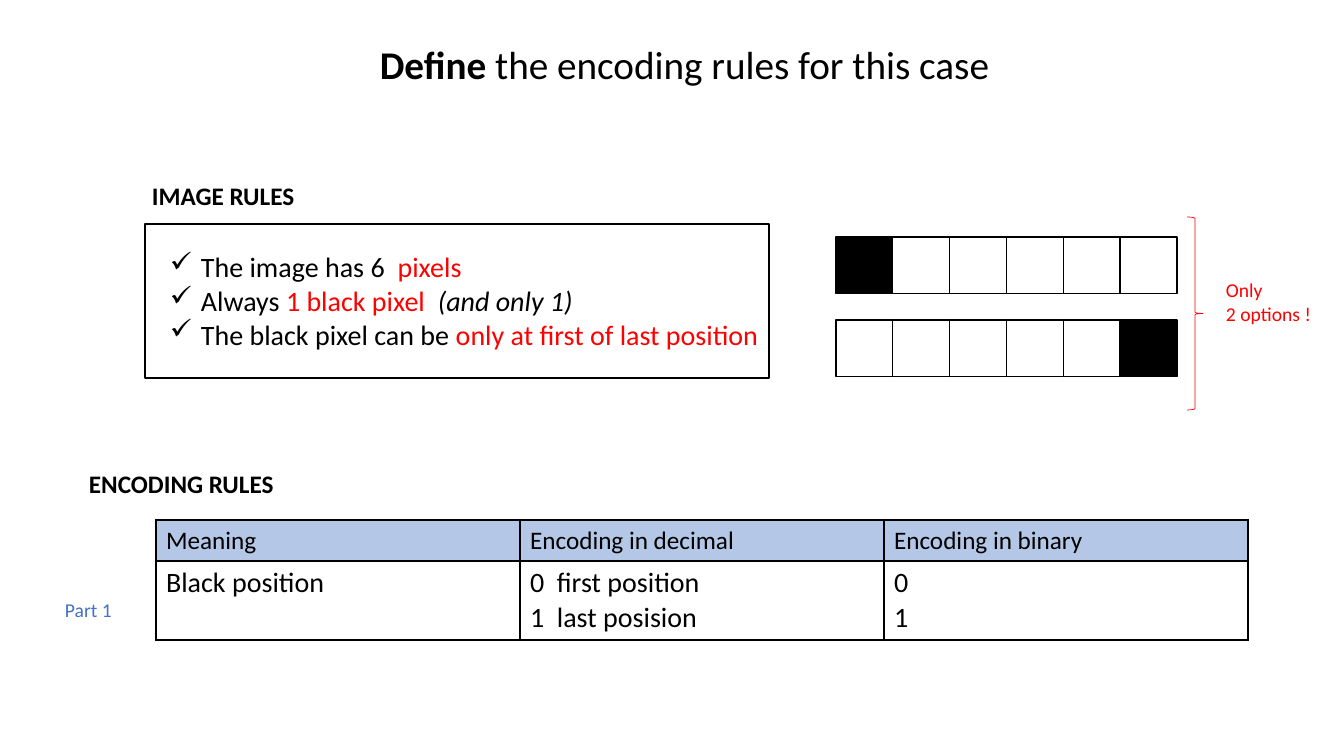
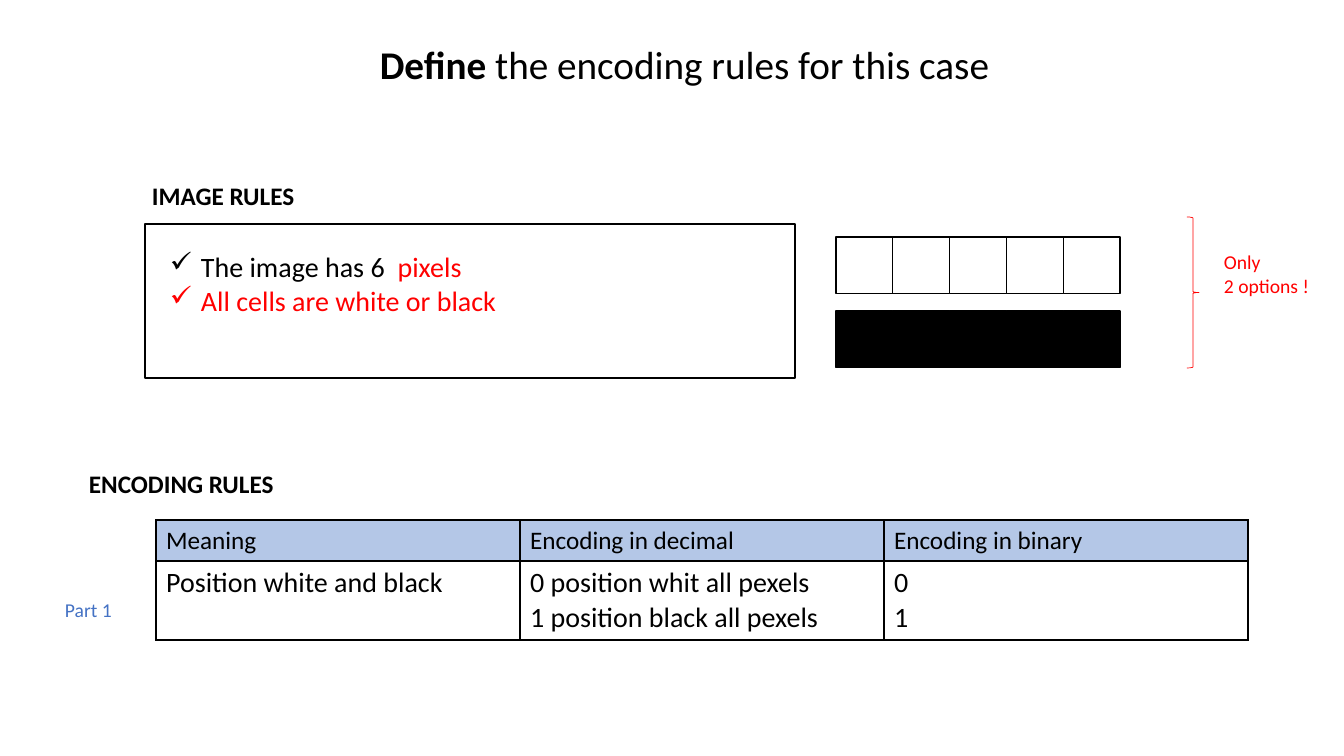
from lxml import etree
from pptx import Presentation
from pptx.dml.color import RGBColor
from pptx.enum.shapes import MSO_SHAPE
from pptx.enum.text import MSO_AUTO_SIZE, PP_ALIGN
from pptx.oxml.ns import qn
from pptx.util import Emu, Pt

RECTANGLE, BRACE = MSO_SHAPE.RECTANGLE, MSO_SHAPE.RIGHT_BRACE
LEFT, CENTER = PP_ALIGN.LEFT, PP_ALIGN.CENTER
FIT_SHAPE = MSO_AUTO_SIZE.SHAPE_TO_FIT_TEXT

FONT = "Calibri"
BLACK, WHITE, RED = "000000", "FFFFFF", "FF0000"
BLUE, PALE_BLUE = "4472C4", "B4C7E7"
PIXEL = 914400 / 100.8

# A paragraph is a list of spans: (text, style).
TITLE = [[("Define", "bold"), (" the encoding rules for this case", "")]]
IMAGE_HEADING = [[("IMAGE RULES", "bold")]]
ENCODING_HEADING = [[("ENCODING RULES", "bold")]]
PART = [[("Part 1", "")]]
OPTIONS = [[("Only", "")], [("2 options !", "")]]
HEADERS = ["Meaning", "Encoding in decimal", "Encoding in binary"]
PIXEL_COUNT_RULE = [("The image has 6  ", ""), ("pixels", "red")]

SLIDES = [
    {
        "rules": [
            PIXEL_COUNT_RULE,
            [("Always ", ""), ("1 black pixel  ", "red"), ("(and only 1)", "italic")],
            [("The black pixel can be ", ""),
             ("only at first of last position", "red")],
        ],
        "rules_size": (615, 112),
        "frame_width": 624,
        "pixel_rows": [(237, "100000"), (320, "000001")],
        "brace_size": (16, 193),
        "options_at": (1216, 273),
        "encoding": [["Black position"],
                     ["0  first position", "1  last posision"],
                     ["0", "1"]],
    },
    {
        "rules": [PIXEL_COUNT_RULE, [("All cells are white or black", "red")]],
        "rules_size": (351, 78),
        "frame_width": 650,
        "pixel_rows": [(237, "00000"), (311, "11111")],
        "brace_size": (12, 151),
        "options_at": (1214, 245),
        "encoding": [["Position white and black"],
                     ["0 position whit all pexels", "1 position black all pexels"],
                     ["0", "1"]],
    },
]

PIXEL_ROW_LEFT = 836
PIXEL_SIDE = 341 / 6
TABLE_AT = (156, 520)
COLUMN_WIDTH = 364
ROW_HEIGHTS = (41, 79)


def px(length):
    """Turn pixels into EMU."""
    return Emu(round(length * PIXEL))


def rgb(color):
    """Turn a hex string into a colour."""
    return RGBColor.from_string(color)


def write(frame, paragraphs, size, color=BLACK, align=LEFT, bullets=False):
    """Fill a text frame with styled paragraphs."""
    for index, spans in enumerate(paragraphs):
        para = frame.paragraphs[0] if index == 0 else frame.add_paragraph()
        para.alignment = align
        para.font.name, para.font.size = FONT, Pt(size)
        if bullets:
            add_check(para)
        for text, style in spans:
            span = para.add_run()
            span.text = text
            span.font.name, span.font.size = FONT, Pt(size)
            span.font.color.rgb = rgb(RED if style == "red" else color)
            span.font.bold = style == "bold"
            span.font.italic = style == "italic"


def add_check(para):
    """Give a paragraph a hanging check mark."""
    properties = para._p.get_or_add_pPr()
    indent = px(31)
    properties.set("marL", str(indent))
    properties.set("indent", str(-indent))
    mark = etree.Element(qn("a:buChar"), char="\u2713")
    properties.insert(0, mark)


def add_text(page, place, paragraphs, size, wrap=False, **style):
    """Add a text box that fits its text."""
    box = page.shapes.add_textbox(*map(px, place))
    box.text_frame.word_wrap = wrap
    box.text_frame.auto_size = FIT_SHAPE
    write(box.text_frame, paragraphs, size, **style)


def add_outline(page, kind, place, line=BLACK, weight=1, fill=None):
    """Add an outlined preset shape, filled or clear."""
    shape = page.shapes.add_shape(kind, *map(px, place))
    shape.shadow.inherit = False
    shape.line.color.rgb = rgb(line)
    shape.line.width = Pt(weight)
    if fill:
        shape.fill.solid()
        shape.fill.fore_color.rgb = rgb(fill)
    else:
        shape.fill.background()


def add_pixel_row(page, top, bits):
    """Draw one encoded image: 1 is black, 0 is white."""
    for index, bit in enumerate(bits):
        left = PIXEL_ROW_LEFT + index * PIXEL_SIDE
        add_outline(page, RECTANGLE, (left, top, PIXEL_SIDE, PIXEL_SIDE),
                    fill=BLACK if bit == "1" else WHITE)


def add_borders(cell):
    """Draw thin black lines on the four sides of a cell."""
    properties = cell._tc.get_or_add_tcPr()
    for side in ("lnL", "lnR", "lnT", "lnB"):
        line = etree.SubElement(properties, qn("a:" + side), w=str(Pt(1)))
        fill = etree.SubElement(line, qn("a:solidFill"))
        etree.SubElement(fill, qn("a:srgbClr"), val=BLACK)


def add_encoding_table(page, body):
    """Add the table of meanings and codes."""
    size = (COLUMN_WIDTH * len(HEADERS), sum(ROW_HEIGHTS))
    table = page.shapes.add_table(
        len(ROW_HEIGHTS), len(HEADERS), *map(px, TABLE_AT + size)).table
    table.first_row = table.horz_banding = False
    for row, height in zip(table.rows, ROW_HEIGHTS):
        row.height = px(height)
    for column, (header, lines) in enumerate(zip(HEADERS, body)):
        table.columns[column].width = px(COLUMN_WIDTH)
        head, entry = table.cell(0, column), table.cell(1, column)
        add_borders(head)
        add_borders(entry)
        head.fill.solid()
        head.fill.fore_color.rgb = rgb(PALE_BLUE)
        entry.fill.background()
        write(head.text_frame, [[(header, "")]], 18)
        write(entry.text_frame, [[(line, "")] for line in lines], 20)


def add_page(deck, content):
    """Build one slide of encoding rules."""
    page = deck.slides.add_slide(deck.slide_layouts[6])
    add_encoding_table(page, content["encoding"])
    add_text(page, (55, 593, 68, 34), PART, 14, color=BLUE)
    add_text(page, (302, 35, 765, 57), TITLE, 28, wrap=True, align=CENTER)
    add_text(page, (79, 463, 208, 40), ENCODING_HEADING, 18)
    add_text(page, (160, 245, *content["rules_size"]), content["rules"], 20,
             bullets=True)
    add_text(page, (142, 175, 164, 40), IMAGE_HEADING, 18)
    add_outline(page, RECTANGLE, (145, 224, content["frame_width"], 154))
    for top, bits in content["pixel_rows"]:
        add_pixel_row(page, top, bits)
    add_outline(page, BRACE, (1187, 217, *content["brace_size"]),
                line=RED, weight=0.5)
    add_text(page, (*content["options_at"], 106, 57), OPTIONS, 14, color=RED)


deck = Presentation()
deck.slide_width, deck.slide_height = px(1344), px(756)
for content in SLIDES:
    add_page(deck, content)
deck.save("out.pptx")
